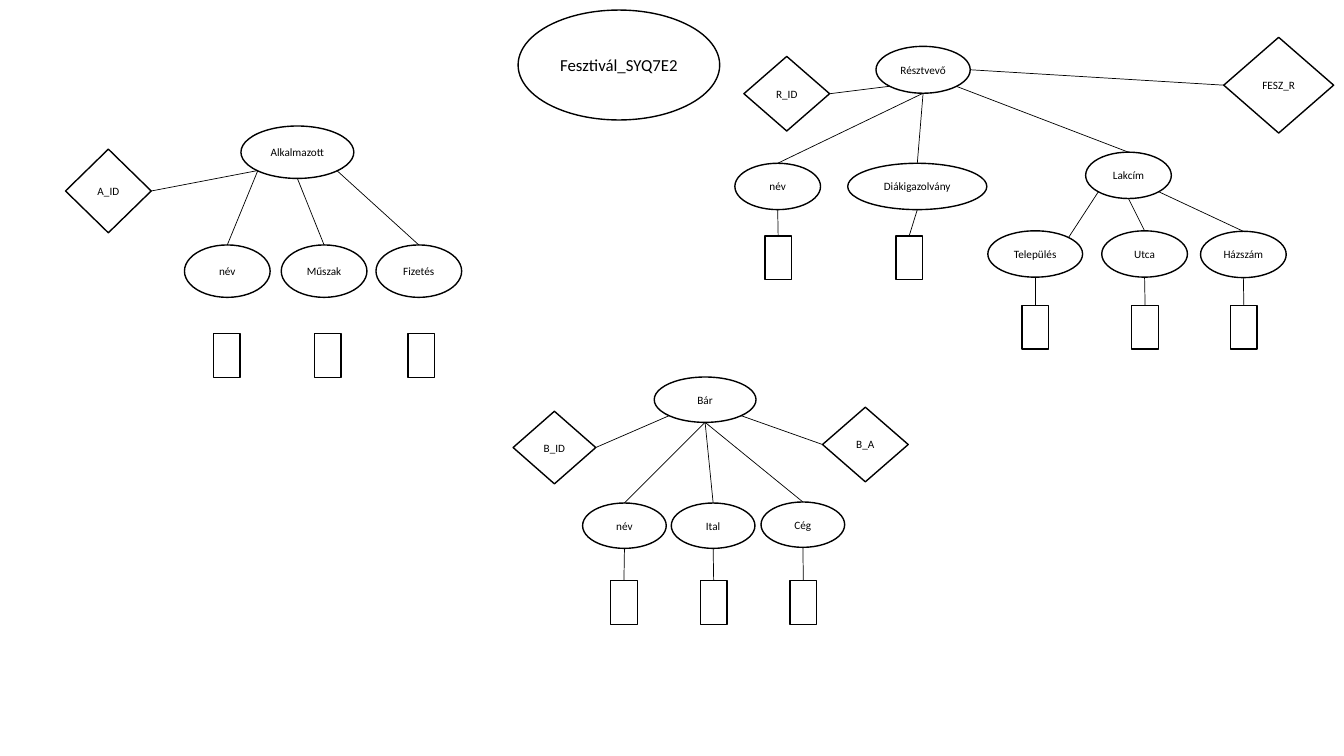
from lxml import etree
from pptx import Presentation
from pptx.dml.color import RGBColor
from pptx.enum.shapes import MSO_CONNECTOR as Connector, MSO_SHAPE as Shape
from pptx.enum.text import MSO_ANCHOR as Anchor, PP_ALIGN as Align
from pptx.oxml.ns import qn
from pptx.util import Inches, Pt

# The grid has square cells, 0.1 inch wide; all lengths count columns and rows
CELL = Inches(0.1)
COLUMNS, ROWS = 133.33, 75
INK = "000000"
BOX_WIDTH, BOX_HEIGHT = 2.64, 4.34

# Where lines meet a shape, as shares of its width and height
NEAR, FAR = 0.15, 0.85
SIDES = {
    "top": (0.5, 0), "bottom": (0.5, 1), "left": (0, 0.5), "right": (1, 0.5),
    "bottom left": (NEAR, FAR), "bottom right": (FAR, FAR), "top right": (FAR, NEAR),
}


def grid(count):
    return round(count * CELL)


def colour(code):
    return RGBColor.from_string(code)


def write_text(shape, text, size=8, font="Calibri", ink=INK, align=Align.CENTER):
    frame = shape.text_frame
    frame.word_wrap = False
    frame.vertical_anchor = Anchor.MIDDLE
    frame.margin_left = frame.margin_right = frame.margin_top = frame.margin_bottom = 0
    para = frame.paragraphs[0]
    para.alignment = align
    span = para.add_run()
    span.text = text
    span.font.size, span.font.name = Pt(size), font
    span.font.color.rgb = colour(ink)


def add_outline(page, kind, left, top, width, height, text="", size=8):
    shape = page.shapes.add_shape(kind, *map(grid, (left, top, width, height)))
    shape.shadow.inherit = False
    shape.fill.background()
    shape.line.color.rgb = colour(INK)
    shape.line.width = Pt(1)
    if text:
        write_text(shape, text, size=size)
    return shape


def side_point(shape, side):
    across, down = SIDES[side]
    return round(shape.left + across * shape.width), round(shape.top + down * shape.height)


def link(page, start, start_side, end, end_side="top"):
    line = page.shapes.add_connector(
        Connector.STRAIGHT, *side_point(start, start_side), *side_point(end, end_side))
    line.line.color.rgb = colour(INK)
    line.line.width = Pt(0.5)
    properties = line._element.find(qn("p:spPr"))
    etree.SubElement(properties, qn("a:effectLst"))


def add_ellipse(page, text, left, top, width, height, size=8):
    return add_outline(page, Shape.OVAL, left, top, width, height, text, size)


def add_key(page, text, left, top, width, height, owner, owner_side, side):
    key = add_outline(page, Shape.DIAMOND, left, top, width, height, text)
    link(page, owner, owner_side, key, side)


def add_value_box(page, centre, top):
    return add_outline(page, Shape.RECTANGLE, centre - BOX_WIDTH / 2, top, BOX_WIDTH, BOX_HEIGHT)


def add_attributes(page, owner, attributes, height, box_top, linked=True):
    """Each attribute: text, left, top, width, box centre, owner side, own side."""
    for text, left, top, width, centre, owner_side, side in attributes:
        ellipse = add_ellipse(page, text, left, top, width, height)
        link(page, owner, owner_side, ellipse, side)
        box = add_value_box(page, centre, box_top)
        if linked:
            link(page, ellipse, "bottom", box)


def add_employee(page):
    employee = add_ellipse(page, "Alkalmazott", 23.9, 12.5, 11.2, 5.2)
    add_key(page, "A_ID", 6.5, 14.8, 8.5, 8.3, employee, "bottom left", "right")
    add_attributes(page, employee, [
        ("név", 18.3, 24.3, 8.5, 22.5, "bottom left", "top"),
        ("Műszak", 27.9, 24.3, 8.5, 32.5, "bottom", "top"),
        ("Fizetés", 37.3, 24.3, 8.5, 41.8, "bottom right", "top"),
    ], height=5.2, box_top=33.1, linked=False)


def add_participant(page):
    participant = add_ellipse(page, "Résztvevő", 86.9, 4.6, 9.35, 4.65)
    add_key(page, "R_ID", 73.8, 5.6, 8.5, 7.4, participant, "bottom left", "right")
    add_key(page, "FESZ_R", 121.4, 3.7, 10.9, 9.5, participant, "right", "left")
    add_attributes(page, participant, [
        ("név", 72.9, 16.2, 8.5, 77.2, "bottom", "top"),
        ("Diákigazolvány", 84.1, 16.2, 13.8, 90.2, "bottom", "top"),
    ], height=4.6, box_top=23.4)

    # The address splits into attributes of its own
    address = add_ellipse(page, "Lakcím", 107.7, 15.1, 8.5, 4.6)
    link(page, participant, "bottom right", address)
    add_attributes(page, address, [
        ("Település", 98, 22.9, 9.4, 102.7, "bottom left", "top right"),
        ("Utca", 109.3, 22.9, 8.5, 113.6, "bottom", "top"),
        ("Házszám", 119.1, 22.95, 8.5, 123.4, "bottom right", "top"),
    ], height=4.6, box_top=30.3)


def add_bar(page):
    bar = add_ellipse(page, "Bár", 64.9, 37.4, 10.1, 4.5)
    add_key(page, "B_ID", 50.9, 40.8, 8.2, 7.2, bar, "bottom left", "right")
    add_key(page, "B_A", 81.6, 40.4, 8.5, 7.4, bar, "bottom right", "left")
    add_attributes(page, bar, [
        ("név", 57.8, 49.9, 8.3, 61.9, "bottom", "top"),
        ("Ital", 66.6, 49.9, 8.3, 70.8, "bottom", "top"),
        ("Cég", 75.5, 49.8, 8.3, 79.7, "bottom", "top"),
    ], height=4.5, box_top=57.6)


def main():
    deck = Presentation()
    deck.slide_width, deck.slide_height = grid(COLUMNS), grid(ROWS)
    page = deck.slides.add_slide(deck.slide_layouts[6])
    add_ellipse(page, "Fesztivál_SYQ7E2", 51.4, 1, 20, 10.9, size=12)
    add_employee(page)
    add_participant(page)
    add_bar(page)
    deck.save("out.pptx")


main()
